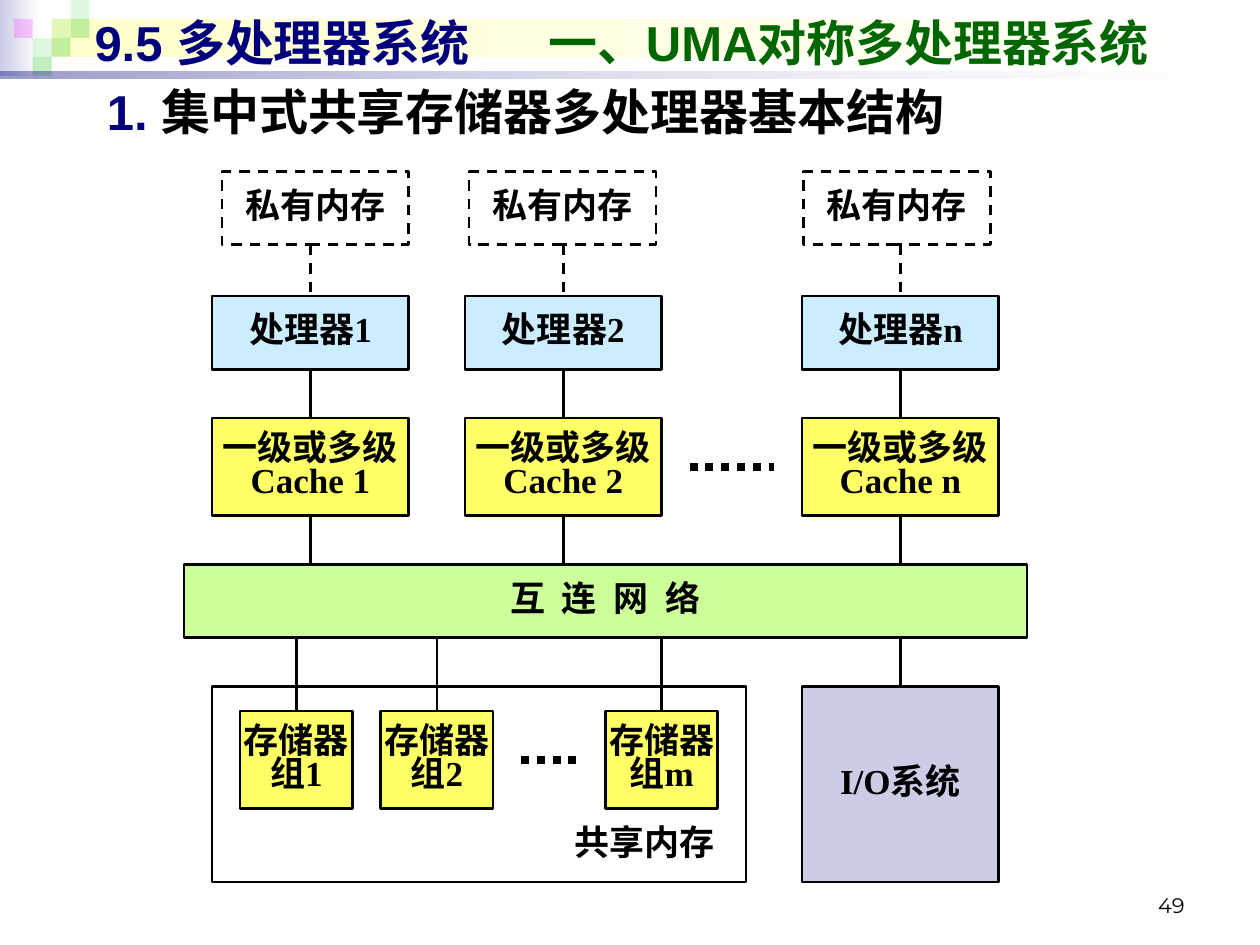
from lxml.etree import SubElement
from pptx import Presentation
from pptx.dml.color import RGBColor
from pptx.enum.dml import MSO_LINE
from pptx.enum.shapes import MSO_CONNECTOR, MSO_SHAPE
from pptx.enum.text import MSO_ANCHOR, MSO_AUTO_SIZE, PP_ALIGN
from pptx.oxml.ns import qn
from pptx.util import Inches, Pt

W, H = 10, 7.5
LEFT, TOP = 1.46, 2.35
COL, ROW = 6.69 / 30, 1.55 / 8
SERIF, SANS = "Times New Roman", "Arial"
COLORS = {
    "black": "000000", "white": "FFFFFF", "navy": "00007D", "green": "006600",
    "sky": "CCECFF", "yellow": "FFFF66", "lime": "CCFF99", "lilac": "CCCCE6",
    "cream": "FFFFCC", "leaf": "33CC33", "pink": "FF00FF",
}


def rgb(name):
    return RGBColor.from_string(COLORS[name])


def share(x, y, w, h):
    return [Inches(v * size / 100) for v, size in zip((x, y, w, h), (W, H, W, H))]


def cells(col, row, cols, rows):
    return [Inches(v) for v in (LEFT + col * COL, TOP + row * ROW, cols * COL, rows * ROW)]


def add_run(p, text, size, font, color, bold=True):
    r = p.add_run()
    r.text = text
    r.font.size, r.font.name, r.font.bold = Pt(size), font, bold
    r.font.color.rgb = rgb(color)
    return r


def set_alpha(sp, percents):
    for clr, percent in zip(sp._element.spPr.iter(qn("a:srgbClr")), percents):
        SubElement(clr, qn("a:alpha"), val=str(percent * 1000))


def rect(s, place, fill=None, line=None, dash=None):
    sp = s.shapes.add_shape(MSO_SHAPE.RECTANGLE, *place)
    sp.shadow.inherit = False
    if fill:
        sp.fill.solid()
        sp.fill.fore_color.rgb = rgb(fill)
    else:
        sp.fill.background()
    if line:
        sp.line.color.rgb = rgb(line)
        sp.line.width = Pt(1.5)
        sp.line.dash_style = dash
    else:
        sp.line.fill.background()
    return sp


def fade(s, place, start, alphas=()):
    sp = rect(s, place, start)
    sp.fill.gradient()
    sp.fill.gradient_angle = 0
    for stop, color in zip(sp.fill.gradient_stops, (start, "white")):
        stop.color.rgb = rgb(color)
    set_alpha(sp, alphas)


def write(sp, lines, align=PP_ALIGN.CENTER, spacing=0):
    tf = sp.text_frame
    tf.word_wrap = True
    tf.vertical_anchor = MSO_ANCHOR.MIDDLE
    tf.margin_left = tf.margin_right = tf.margin_top = tf.margin_bottom = 0
    for i, text in enumerate(lines):
        p = tf.add_paragraph() if i else tf.paragraphs[0]
        p.alignment, p.line_spacing = align, 0.8
        r = add_run(p, text, 20, SERIF, "black")
        if spacing:
            r.font._element.set("spc", str(spacing))


def node(s, place, lines, fill, dash=None, spacing=0):
    sp = rect(s, place, fill, "black", dash)
    write(sp, lines, spacing=spacing)
    return sp


def wire(s, x1, y1, x2, y2, width=1.5, dash=None):
    c = s.shapes.add_connector(MSO_CONNECTOR.STRAIGHT, x1, y1, x2, y2)
    c.line.color.rgb = rgb("black")
    c.line.width = Pt(width)
    c.line.dash_style = dash
    SubElement(c._element.spPr, qn("a:effectLst"))
    return c


def center(sp):
    return sp.left + sp.width // 2


def link(s, upper, lower, axis, dash=None):
    x = center(axis)
    c = wire(s, x, upper.top + upper.height, x, lower.top, dash=dash)
    if center(upper) == x:
        c.begin_connect(upper, 2)
    if center(lower) == x:
        c.end_connect(lower, 0)


def dots(s, col, row, cols):
    x, y, w, _ = cells(col, row, cols, 0)
    wire(s, x, y, x + w, y, 4.5, MSO_LINE.ROUND_DOT)


def header(s):
    fade(s, share(0, 0, 3.1, 8), "lilac")
    fade(s, share(4.1, 2, 95.5, 4), "cream")
    for col, row, color, alpha in (
        (2, 1, "leaf", 15), (3, 0, "leaf", 15), (3, 1, "leaf", 30), (1, 2, "leaf", 15),
        (0, 1, "pink", 20), (2, 2, "leaf", 30), (1, 3, "leaf", 30),
    ):
        sp = rect(s, share(1.1 + 1.5 * col, 2 * row, 1.5, 2), color)
        set_alpha(sp, [alpha])
    fade(s, share(0, 7.6, 100, 0.67), "navy", (40, 10))


def title(s):
    sp = s.shapes.title
    s.shapes._spTree.append(sp._element)
    sp.left, sp.top, sp.width, sp.height = share(6.5, 0.67, 90, 7.6)
    tf = sp.text_frame
    tf.auto_size, tf.word_wrap = MSO_AUTO_SIZE.NONE, True
    tf.vertical_anchor = MSO_ANCHOR.MIDDLE
    p = tf.paragraphs[0]
    p.alignment = PP_ALIGN.LEFT
    tabs = SubElement(p._p.get_or_add_pPr(), qn("a:tabLst"))
    SubElement(tabs, qn("a:tab"), pos=str(Inches(3.6)), algn="l")
    add_run(p, "9.5 多处理器系统\t", 28, SANS, "navy")
    add_run(p, "一、UMA对称多处理器系统", 28, SANS, "green")


def text_box(s, place, runs, align=PP_ALIGN.LEFT, anchor=MSO_ANCHOR.TOP):
    tf = s.shapes.add_textbox(*place).text_frame
    tf.word_wrap, tf.vertical_anchor = True, anchor
    p = tf.paragraphs[0]
    p.alignment = align
    for run in runs:
        add_run(p, *run)
    return p


def diagram(s):
    network = node(s, cells(0, 11, 30, 3), ["互 连 网 络"], "lime", spacing=250)
    for col, memory_col, name in ((1, 1.35, "1"), (9 + 1, 10.15, "2"), (22, 22.05, "n")):
        memory = node(s, cells(memory_col, -5.1, 6.65, 3), ["私有内存"], "white", MSO_LINE.DASH)
        cpu = node(s, cells(col, 0, 7, 3), ["处理器" + name], "sky")
        cache = node(s, cells(col, 5, 7, 4), ["一级或多级", "Cache " + name], "yellow")
        link(s, memory, cpu, cpu, MSO_LINE.DASH)
        link(s, cpu, cache, cpu)
        link(s, cache, network, cache)
    dots(s, 18, 7, 3)

    rect(s, cells(1, 16, 19, 8), line="black")
    write(rect(s, cells(13.9, 21.55, 6, 1.9)), ["共享内存"], PP_ALIGN.JUSTIFY)
    for col, name in ((2, "1"), (7, "2"), (15, "m")):
        bank = node(s, cells(col, 17, 4, 4), ["存储器", "组" + name], "yellow")
        link(s, network, bank, bank)
    dots(s, 12, 19, 2)

    io_system = node(s, cells(22, 16, 7, 8), ["I/O系统"], "lilac")
    link(s, network, io_system, io_system)


def main():
    prs = Presentation()
    prs.slide_width, prs.slide_height = Inches(W), Inches(H)
    s = prs.slides.add_slide(prs.slide_layouts[5])
    header(s)
    title(s)
    p = text_box(s, share(7.5, 8, 89, 8.4), [
        ("1. ", 28, SANS, "navy"),
        ("集中式共享存储器多处理器基本结构", 28, SERIF, "black"),
    ])
    p.space_before = Pt(5.6)
    diagram(s)
    text_box(s, share(71.7, 91.07, 23.3, 6.67), [("49", 12, "Montserrat", "black", False)],
             PP_ALIGN.RIGHT, MSO_ANCHOR.BOTTOM)
    prs.save("out.pptx")


if __name__ == "__main__":
    main()
